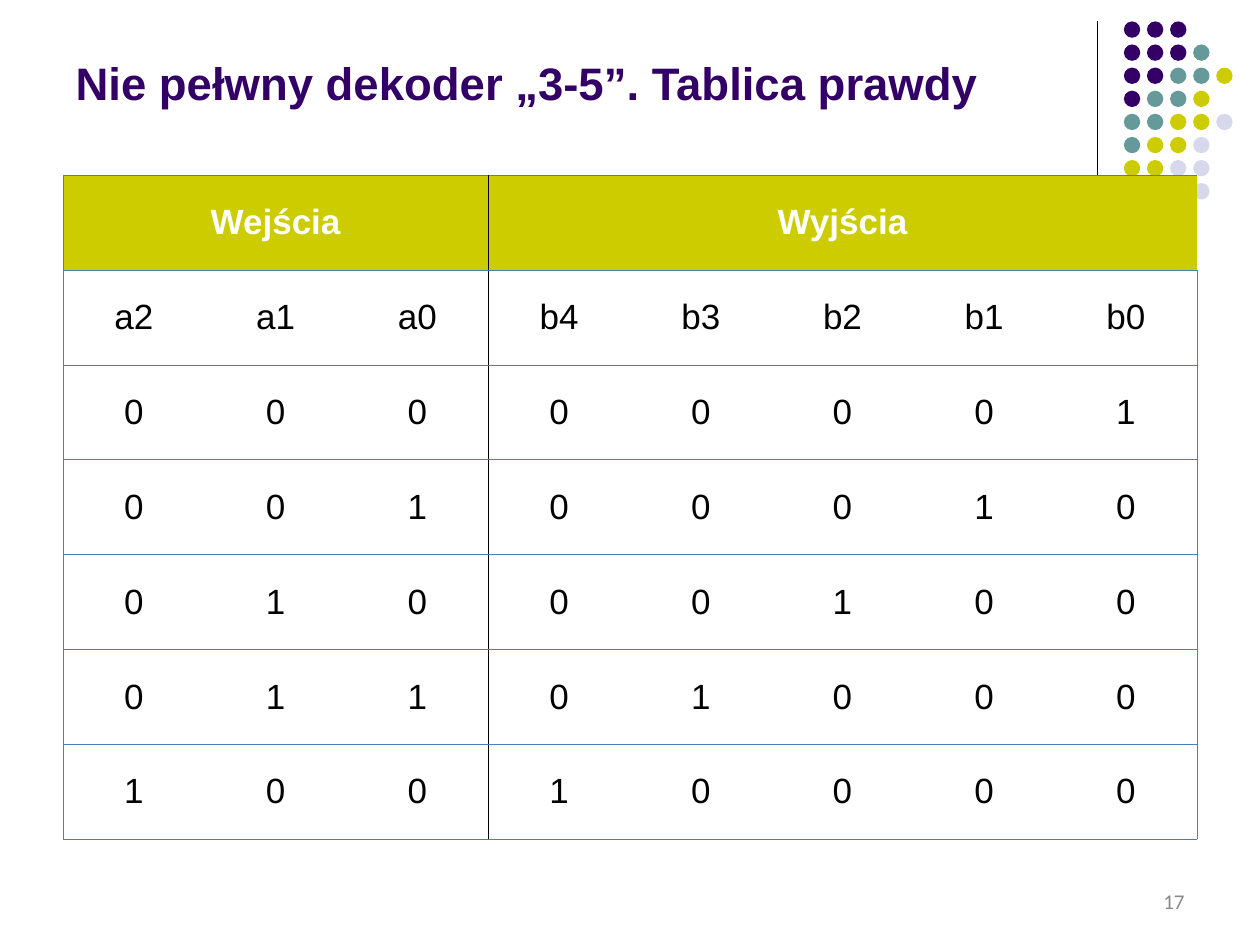
import lxml.etree
import pptx
import pptx.dml.color
import pptx.enum.shapes
import pptx.enum.text
import pptx.oxml.ns
import pptx.util

RGBColor = pptx.dml.color.RGBColor
Inches = pptx.util.Inches
Pt = pptx.util.Pt
qn = pptx.oxml.ns.qn
PP_ALIGN = pptx.enum.text.PP_ALIGN
MIDDLE = pptx.enum.text.MSO_ANCHOR.MIDDLE

PURPLE = RGBColor(0x33, 0x00, 0x66)
TEAL = RGBColor(0x66, 0x99, 0x99)
LIME = RGBColor(0xCC, 0xCC, 0x00)
LILAC = RGBColor(0xD8, 0xD8, 0xEC)
BLUE = RGBColor(0x4A, 0x7E, 0xBB)
GRAY = RGBColor(0x89, 0x89, 0x89)
BLACK = RGBColor(0x00, 0x00, 0x00)
WHITE = RGBColor(0xFF, 0xFF, 0xFF)


def style_paragraph(paragraph, font_name, size, color, bold, alignment):
    paragraph.alignment = alignment
    paragraph.font.name = font_name
    paragraph.font.size = Pt(size)
    paragraph.font.color.rgb = color
    paragraph.font.bold = bold


def add_border(cell, side, color, width):
    """Draw one cell edge; a color of None leaves the edge open."""
    properties = cell._tc.get_or_add_tcPr()
    edge = lxml.etree.SubElement(properties, qn(f"a:ln{side}"), w=str(Pt(width)))
    if color is None:
        lxml.etree.SubElement(edge, qn("a:noFill"))
    else:
        fill = lxml.etree.SubElement(edge, qn("a:solidFill"))
        lxml.etree.SubElement(fill, qn("a:srgbClr"), val=str(color))


deck = pptx.Presentation()
deck.slide_width, deck.slide_height = Inches(10), Inches(7.5)
page = deck.slides.add_slide(deck.slide_layouts[5])

# Vertical rule beside the dots
rule = page.shapes.add_connector(
    pptx.enum.shapes.MSO_CONNECTOR.STRAIGHT,
    Inches(8.71), Inches(0.17), Inches(8.71), Inches(1.83))
rule.line.color.rgb = BLACK
rule.line.width = Pt(0.75)
lxml.etree.SubElement(rule._element.spPr, qn("a:effectLst"))

# Dot pattern, one letter per dot
DOT_COLORS = {"P": PURPLE, "T": TEAL, "L": LIME, "V": LILAC}
DOT_ROWS = ["PPP", "PPPT", "PPTTL", "PTTL", "TTLLV", "TLLV", "LLVV", " V V"]
DOT_STEP = 1.1 / 6
dots = page.shapes.add_group_shape()
for row, letters in enumerate(DOT_ROWS):
    for column, letter in enumerate(letters):
        if letter == " ":
            continue
        dot = dots.shapes.add_shape(
            pptx.enum.shapes.MSO_SHAPE.OVAL,
            Inches(8.92 + column * DOT_STEP), Inches(0.17 + row * DOT_STEP),
            Inches(0.13), Inches(0.13))
        dot.shadow.inherit = False
        dot.fill.solid()
        dot.fill.fore_color.rgb = DOT_COLORS[letter]
        dot.line.fill.background()

# Title
title = page.shapes.title
title.left, title.top = Inches(0.5), Inches(0.13)
title.width, title.height = Inches(8.25), Inches(1.05)
title.text_frame.text = "Nie pełwny dekoder „3-5”. Tablica prawdy"
title.text_frame.vertical_anchor = MIDDLE
style_paragraph(title.text_frame.paragraphs[0], "Arial", 26, PURPLE, True, PP_ALIGN.LEFT)

# Truth table: three inputs, five outputs
INPUTS = 3
TRUTH_ROWS = [
    ["Wejścia", "", "", "Wyjścia", "", "", "", ""],
    "a2 a1 a0 b4 b3 b2 b1 b0".split(),
    list("00000001"),
    list("00100010"),
    list("01000100"),
    list("01101000"),
    list("10010000"),
]
row_count, column_count = len(TRUTH_ROWS), len(TRUTH_ROWS[0])
table = page.shapes.add_table(
    row_count, column_count,
    Inches(0.5), Inches(1.39), Inches(9), Inches(5.27)).table
table.first_row = False
table.horz_banding = False
table.cell(0, 0).merge(table.cell(0, INPUTS - 1))
table.cell(0, INPUTS).merge(table.cell(0, column_count - 1))

for row, values in enumerate(TRUTH_ROWS):
    is_header = row == 0
    for column, value in enumerate(values):
        cell = table.cell(row, column)
        cell.margin_left = cell.margin_right = Inches(0.08)
        cell.margin_top = cell.margin_bottom = Inches(0.05)
        cell.vertical_anchor = MIDDLE
        # Blue frame and row lines, black divider, other verticals open
        for side, position in (("L", column), ("R", column + 1)):
            if position == INPUTS:
                add_border(cell, side, BLACK, 0.45)
            else:
                outer = position in (0, column_count)
                add_border(cell, side, BLUE if outer else None, 0.34)
        for side in "TB":
            add_border(cell, side, BLUE, 0.34)
        if is_header:
            cell.fill.solid()
            cell.fill.fore_color.rgb = LIME
        else:
            cell.fill.background()
        if value:
            cell.text = value
            style_paragraph(cell.text_frame.paragraphs[0], "Arial", 20,
                            WHITE if is_header else BLACK, is_header, PP_ALIGN.CENTER)

# Page number
number_box = page.shapes.add_textbox(Inches(7.17), Inches(6.95), Inches(2.33), Inches(0.4))
number_box.text_frame.word_wrap = True
number_box.text_frame.vertical_anchor = MIDDLE
number_box.text_frame.text = "17"
style_paragraph(number_box.text_frame.paragraphs[0], "Calibri", 12, GRAY, False, PP_ALIGN.RIGHT)

deck.save("out.pptx")
